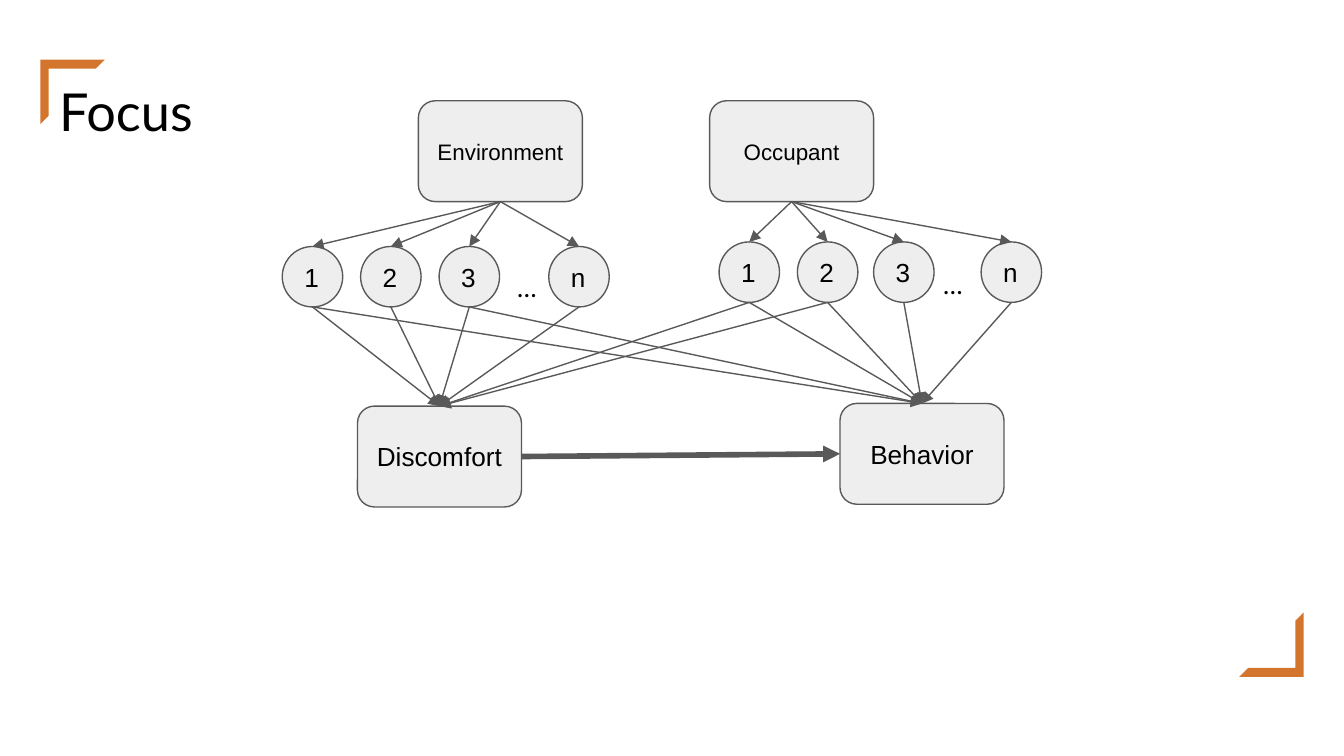
import dataclasses

import lxml.etree
import pptx
import pptx.dml.color
import pptx.enum.shapes
import pptx.enum.text
import pptx.oxml.ns
import pptx.util

SHAPES = pptx.enum.shapes.MSO_SHAPE
ALIGN = pptx.enum.text.PP_ALIGN
ANCHOR = pptx.enum.text.MSO_ANCHOR

# Widescreen slide with a square grid, 100 columns across
SLIDE_WIDTH = pptx.util.Inches(10)
SLIDE_HEIGHT = SLIDE_WIDTH * 9 // 16
CELL = SLIDE_WIDTH / 100

BOX_SIZE = (12.2, 7.5)
CIRCLE_SIZE = (4.5, 4.5)
FRAME_SIZE = (4.8, 4.8)


@dataclasses.dataclass(frozen=True)
class Theme:
    accent: str = "D4752E"
    fill: str = "EEEEEE"
    line: str = "595959"
    text: str = "000000"
    title_font: str = "Lato"
    body_font: str = "Arial"
    title_size: float = 28
    body_size: float = 14
    small_size: float = 12
    thin: float = 0.75
    thick: float = 3


THEME = Theme()


def grid(*cells):
    return [round(cell * CELL) for cell in cells]


def color(value):
    return pptx.dml.color.RGBColor.from_string(value)


def write_text(shape, text, size=THEME.body_size, font=THEME.body_font,
               align=ALIGN.LEFT, anchor=ANCHOR.MIDDLE):
    frame = shape.text_frame
    frame.word_wrap = True
    frame.auto_size = pptx.enum.text.MSO_AUTO_SIZE.NONE
    frame.vertical_anchor = anchor
    frame.margin_left, frame.margin_right = grid(1, 1)
    frame.margin_top, frame.margin_bottom = grid(1, 1)
    paragraph = frame.paragraphs[0]
    paragraph.alignment = align
    run = paragraph.add_run()
    run.text = text
    run.font.name = font
    run.font.size = pptx.util.Pt(size)
    run.font.color.rgb = color(THEME.text)


def add_shape(slide, kind, left, top, size, fill=THEME.fill, line=THEME.line):
    shape = slide.shapes.add_shape(kind, *grid(left, top, *size))
    shape.shadow.inherit = False
    shape.fill.solid()
    shape.fill.fore_color.rgb = color(fill)
    if line:
        shape.line.color.rgb = color(line)
        shape.line.width = pptx.util.Pt(THEME.thin)
    else:
        shape.line.fill.background()
    return shape


def add_corner(slide, left, top, rotation=0):
    corner = add_shape(slide, SHAPES.HALF_FRAME, left, top, FRAME_SIZE,
                       fill=THEME.accent, line=None)
    corner.adjustments[0], corner.adjustments[1] = 0.14, 0.13
    corner.rotation = rotation


def add_box(slide, text, left, top, size=THEME.body_size):
    box = add_shape(slide, SHAPES.ROUNDED_RECTANGLE, left, top, BOX_SIZE)
    write_text(box, text, size=size, align=ALIGN.CENTER)
    return box


def add_factors(slide, lefts, top, dots_left, dots_top):
    """Draw the row of circles 1, 2, 3 … n and return the circles."""
    circles = []
    for label, left in zip("123n", lefts):
        circle = add_shape(slide, SHAPES.OVAL, left, top, CIRCLE_SIZE)
        write_text(circle, label)
        circles.append(circle)
    dots = slide.shapes.add_textbox(*grid(dots_left, dots_top, 3.3, 4.4))
    write_text(dots, "…", font=THEME.title_font, anchor=ANCHOR.TOP)
    return circles


def side(shape, across, down):
    """Point on a shape, given as shares of its width and height."""
    return (round(shape.left + across * shape.width),
            round(shape.top + down * shape.height))


def add_arrow(slide, start, end, width=THEME.thin):
    arrow = slide.shapes.add_connector(
        pptx.enum.shapes.MSO_CONNECTOR.STRAIGHT, *start, *end)
    arrow.line.color.rgb = color(THEME.line)
    arrow.line.width = pptx.util.Pt(width)
    qualified = pptx.oxml.ns.qn
    properties = arrow._element.spPr
    lxml.etree.SubElement(properties.find(qualified("a:ln")),
                          qualified("a:tailEnd"), type="triangle")
    lxml.etree.SubElement(properties, qualified("a:effectLst"))


def add_down_arrows(slide, sources, targets):
    for source in sources:
        for target in targets:
            add_arrow(slide, side(source, 0.5, 1), side(target, 0.5, 0))


def main():
    presentation = pptx.Presentation()
    presentation.slide_width = SLIDE_WIDTH
    presentation.slide_height = SLIDE_HEIGHT
    slide = presentation.slides.add_slide(presentation.slide_layouts[5])

    # Corner frames and title
    add_corner(slide, 3, 4.43)
    add_corner(slide, 92.2, 45.57, rotation=180)
    title = slide.shapes.title
    title.left, title.top, title.width, title.height = grid(3.4, 4.9, 93.2, 6.3)
    write_text(title, "Focus", size=THEME.title_size, font=THEME.title_font,
               anchor=ANCHOR.TOP)

    # Outcomes
    discomfort = add_box(slide, "Discomfort", 26.6, 30.22)
    behavior = add_box(slide, "Behavior", 62.5, 30.02)
    add_arrow(slide, side(discomfort, 1, 0.5), side(behavior, 0, 0.5),
              width=THEME.thick)

    # Sources and their factors
    environment = add_box(slide, "Environment", 31.13, 7.5, size=THEME.small_size)
    occupant = add_box(slide, "Occupant", 52.8, 7.5, size=THEME.small_size)
    environment_factors = add_factors(
        slide, (21, 26.83, 32.67, 40.83), 18.34, dots_left=37.5, dots_top=19.2)
    occupant_factors = add_factors(
        slide, (53.5, 59.33, 65, 73), 18, dots_left=69.2, dots_top=19)

    # Each source leads to its factors, and the factors to the outcomes
    add_down_arrows(slide, [environment], environment_factors)
    add_down_arrows(slide, [occupant], occupant_factors)
    add_down_arrows(slide, environment_factors + occupant_factors[:2], [discomfort])
    add_down_arrows(slide, environment_factors[0:3:2] + occupant_factors, [behavior])

    presentation.save("out.pptx")


if __name__ == "__main__":
    main()
